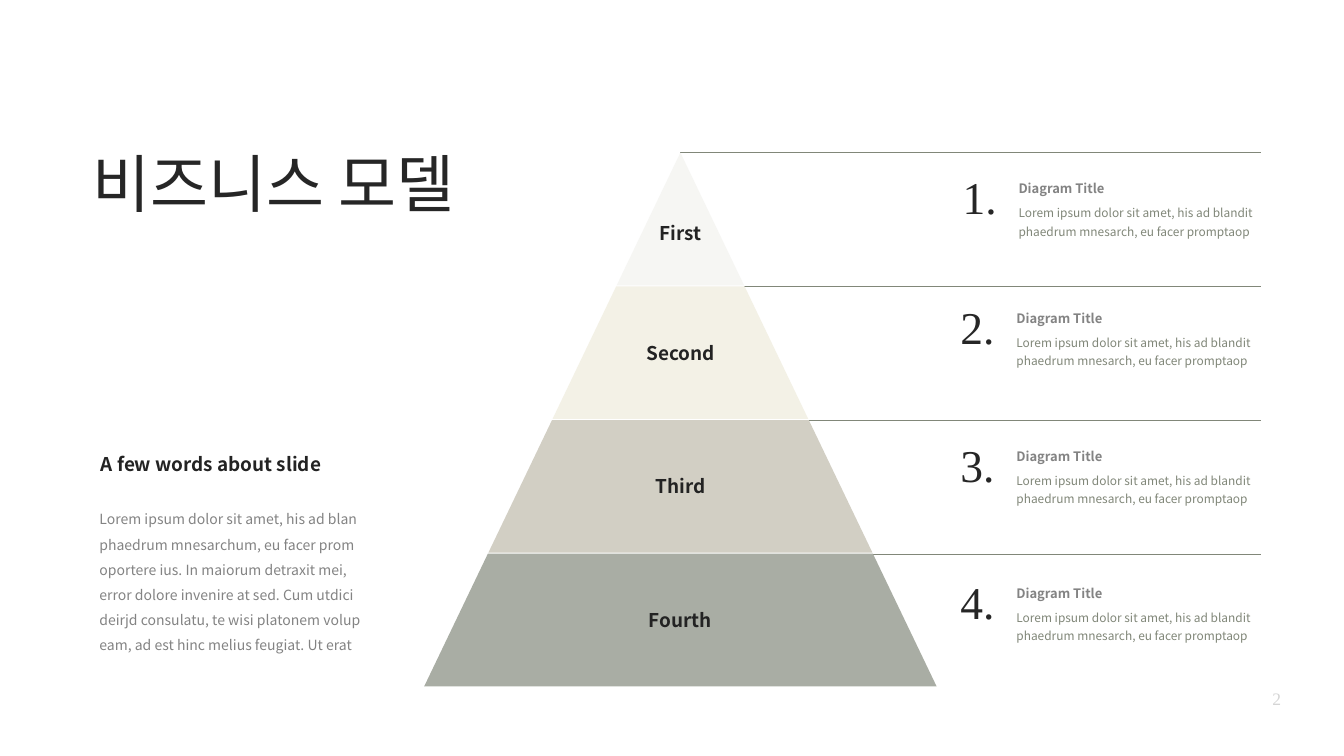
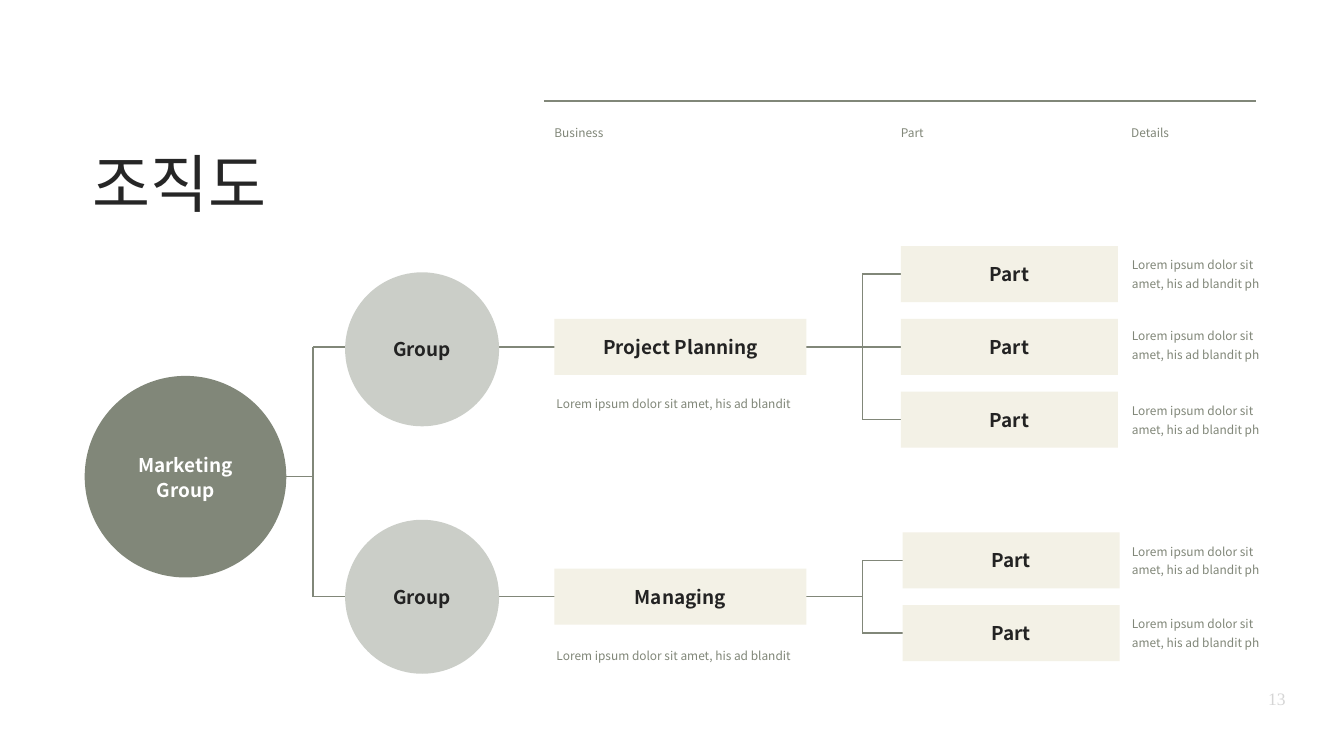
"""Build a business model pyramid and an organisation chart."""
from dataclasses import dataclass
from typing import NamedTuple

from lxml import etree
from pptx import Presentation
from pptx.dml.color import RGBColor
from pptx.enum.shapes import MSO_CONNECTOR, MSO_SHAPE
from pptx.enum.text import MSO_ANCHOR, MSO_AUTO_SIZE, PP_ALIGN
from pptx.oxml.ns import qn
from pptx.util import Pt

STRAIGHT = MSO_CONNECTOR.STRAIGHT
RECT, OVAL = MSO_SHAPE.RECTANGLE, MSO_SHAPE.OVAL
TOP, MIDDLE = MSO_ANCHOR.TOP, MSO_ANCHOR.MIDDLE
LEFT, CENTER = PP_ALIGN.LEFT, PP_ALIGN.CENTER
FIXED, GROW = MSO_AUTO_SIZE.NONE, MSO_AUTO_SIZE.SHAPE_TO_FIT_TEXT

SANS, SERIF = "Noto Sans CJK KR", "Times New Roman"


class Style(NamedTuple):
    """Type settings for one kind of text."""
    size: float
    color: str
    font: str = SANS
    bold: bool = False
    leading: float = 1.0


@dataclass(frozen=True)
class Theme:
    """Colours and type shared by the slides."""
    sage: str = "818779"
    mist: str = "CBCEC8"
    cream: str = "F3F1E6"
    layers: tuple = ("F6F6F3", "F3F1E6", "D2CFC4", "A9ADA4")
    title: Style = Style(90, "262626")
    body: Style = Style(20, "838383", leading=1.5)
    label: Style = Style(27, "232323", bold=True)
    root: Style = Style(27, "FFFFFF", bold=True, leading=1.1)
    digit: Style = Style(65, "262626", SERIF)
    head: Style = Style(18.5, "838383", bold=True, leading=1.4)
    note: Style = Style(17, "818779", leading=1.3)
    page: Style = Style(25, "D5D5D5", SERIF)


THEME = Theme()
LOREM = "Lorem ipsum dolor sit amet, his ad blandit"
INTRO = ("Lorem ipsum dolor sit amet, his ad blan phaedrum mnesarchum, "
         "eu facer prom oportere ius. In maiorum detraxit mei, error dolore "
         "invenire at sed. Cum utdici deirjd consulatu, te wisi platonem "
         "volup eam, ad est hinc melius feugiat. Ut erat")


def write(shape, text, style, align=LEFT, anchor=TOP, inset=4):
    """Fill a shape with styled text, one paragraph a line."""
    frame = shape.text_frame
    frame.text = text
    frame.word_wrap = True
    frame.auto_size = FIXED
    frame.vertical_anchor = anchor
    frame.margin_left = frame.margin_right = Pt(inset)
    frame.margin_top = frame.margin_bottom = Pt(inset)
    for para in frame.paragraphs:
        para.alignment = align
        para.line_spacing = style.leading
        para.space_before = Pt(0)
        font = para.font
        font.size = Pt(style.size)
        font.bold = style.bold
        font.color.rgb = RGBColor.from_string(style.color)
        font.name = style.font
        props = para._p.pPr.find(qn("a:defRPr"))
        etree.SubElement(props, qn("a:ea")).set("typeface", style.font)
    return frame


def place(shape, left, top, width, height):
    """Move and size a shape."""
    shape.left, shape.top = Pt(left), Pt(top)
    shape.width, shape.height = Pt(width), Pt(height)


def add_text(slide, box, text, style, inset=4):
    """Add a text box and return its frame."""
    shape = slide.shapes.add_textbox(*map(Pt, box))
    return write(shape, text, style, inset=inset)


def paint(shape, color):
    """Give a shape a plain fill with no line or shadow."""
    shape.shadow.inherit = False
    shape.fill.solid()
    shape.fill.fore_color.rgb = RGBColor.from_string(color)
    shape.line.fill.background()


def add_node(slide, kind, box, text, color, style=THEME.label):
    """Add a filled shape with a centred label."""
    shape = slide.shapes.add_shape(kind, *map(Pt, box))
    paint(shape, color)
    write(shape, text, style, CENTER, MIDDLE)


def add_line(slide, *ends):
    """Add a straight line between two points."""
    line = slide.shapes.add_connector(STRAIGHT, *map(Pt, ends))
    line.line.width = Pt(2)
    line.line.color.rgb = RGBColor.from_string(THEME.sage)
    etree.SubElement(line._element.spPr, qn("a:effectLst"))


def add_slide(deck, layout, title, page):
    """Add a slide with its title and page number."""
    slide = deck.slides.add_slide(deck.slide_layouts[layout])
    place(slide.shapes.title, 128, 203, 860, 150)
    write(slide.shapes.title, title, THEME.title)
    frame = add_text(slide, (1806, 979, 36, 38), page, THEME.page)
    frame.word_wrap = False
    frame.auto_size = GROW
    frame.paragraphs[0].alignment = CENTER
    return slide


def add_intro(slide):
    """Fill the body placeholder and add its heading."""
    add_text(slide, (138, 640, 386, 60), "A few words about slide",
             THEME.label, 6)
    body = slide.placeholders[1]
    place(body, 138, 714, 386, 243)
    para = write(body, INTRO, THEME.body).paragraphs[0]
    props = para._p.pPr
    props.set("marL", "0")
    props.set("indent", "0")
    props.find(qn("a:defRPr")).addprevious(etree.Element(qn("a:buNone")))


def add_layer(slide, index, text, color):
    """Add one layer of the pyramid."""
    mid, apex, step, depth, slope = 972, 218, 191, 189.5, 0.48
    top = apex + step * index
    low = top + depth
    near = slope * step * index
    far = near + slope * depth
    points = [(mid - far, low), (mid + far, low)]
    if index:
        points.append((mid + near, top))
    pen = slide.shapes.build_freeform(Pt(mid - near), Pt(top))
    pen.add_line_segments([(Pt(x), Pt(y)) for x, y in points])
    shape = pen.convert_to_shape()
    paint(shape, color)
    frame = write(shape, text, THEME.label, CENTER, MIDDLE, 6)
    if not index:
        frame.margin_top = Pt(45)


def add_item(slide, number, left, top):
    """Add a numbered note beside the pyramid."""
    add_text(slide, (left, top, 68, 108), f"{number}.", THEME.digit)
    add_text(slide, (left + 78, top + 5.5, 357, 42), "Diagram Title",
             THEME.head, 6)
    add_text(slide, (left + 78, top + 44, 357, 100),
             LOREM + " phaedrum mnesarch, eu facer promptaop", THEME.note, 6)


def add_fork(slide, start, spine, end, mid, arms):
    """Join one point to several arms by a spine."""
    add_line(slide, start, mid, spine, mid)
    add_line(slide, spine, arms[0], spine, arms[-1])
    for arm in arms:
        add_line(slide, spine, arm, end, arm)


def add_branch(slide, mid, name, circle, note, left, details):
    """Add a group, its business and its parts."""
    step = 104
    first = mid - step * (len(details) - 1) / 2
    rows = [first + step * i for i in range(len(details))]
    add_fork(slide, 1150, 1232, 1292, mid, rows)
    add_line(slide, 652, mid, 821, mid)
    add_node(slide, OVAL, (493, circle, 220, 220), "Group", THEME.mist)
    add_node(slide, RECT, (792, mid - 40, 360, 80), name, THEME.cream)
    add_text(slide, (791, note, 360, 103), LOREM, THEME.note)
    for row, top in zip(rows, details):
        add_node(slide, RECT, (left, row - 40, 310, 80), "Part", THEME.cream)
        add_text(slide, (1613, top, 214, 80), LOREM + " ph", THEME.note)


def build_model(deck):
    """Build the pyramid slide."""
    slide = add_slide(deck, 1, "비즈니스 모델", "2")
    add_intro(slide)
    for i in range(4):
        level = 218 + 191.5 * i
        add_line(slide, 972 + 91 * i, level, 1801, level)
    names = ("First", "Second", "Third", "Fourth")
    for i, (name, color) in enumerate(zip(names, THEME.layers)):
        add_layer(slide, i, name, color)
    spots = ((1371, 238), (1368, 423), (1368, 620), (1368, 816))
    for number, spot in enumerate(spots, 1):
        add_item(slide, number, *spot)


def build_chart(deck):
    """Build the organisation slide."""
    slide = add_slide(deck, 5, "조직도", "13")
    add_line(slide, 777, 144, 1794, 144)
    for left, text in ((788, "Business"), (1283, "Part"), (1612, "Details")):
        add_text(slide, (left, 169, 248, 35), text, THEME.note)
    add_fork(slide, 385, 447, 498, 681, (495.5, 852.5))
    add_node(slide, OVAL, (121, 537, 288, 288), "Marketing\nGroup",
             THEME.sage, THEME.root)
    add_branch(slide, 495.5, "Project Planning", 389, 556, 1287,
               (358.5, 459.5, 566.5))
    add_branch(slide, 852.5, "Managing", 742.5, 917, 1289.5, (767.5, 871))


def main():
    """Build and save the deck."""
    deck = Presentation()
    deck.slide_width, deck.slide_height = Pt(1920), Pt(1080)
    build_model(deck)
    build_chart(deck)
    deck.save("out.pptx")


if __name__ == "__main__":
    main()
